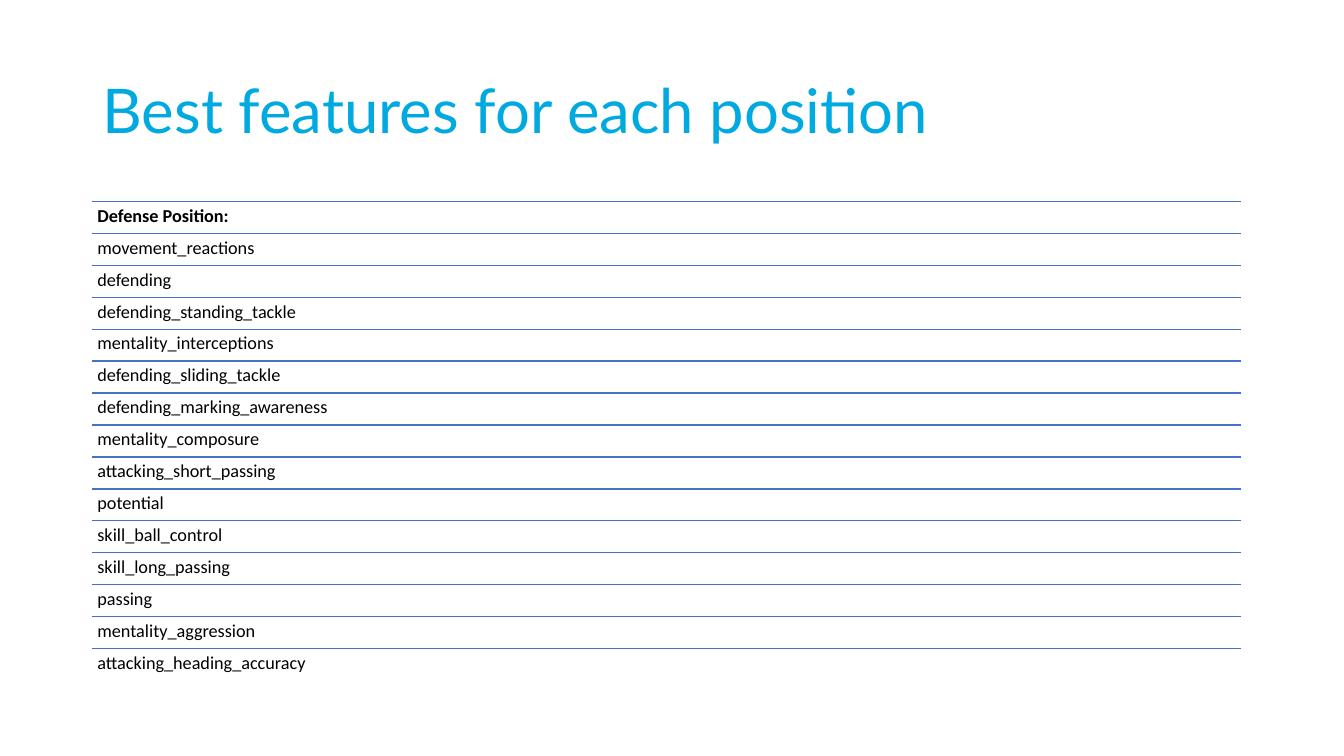
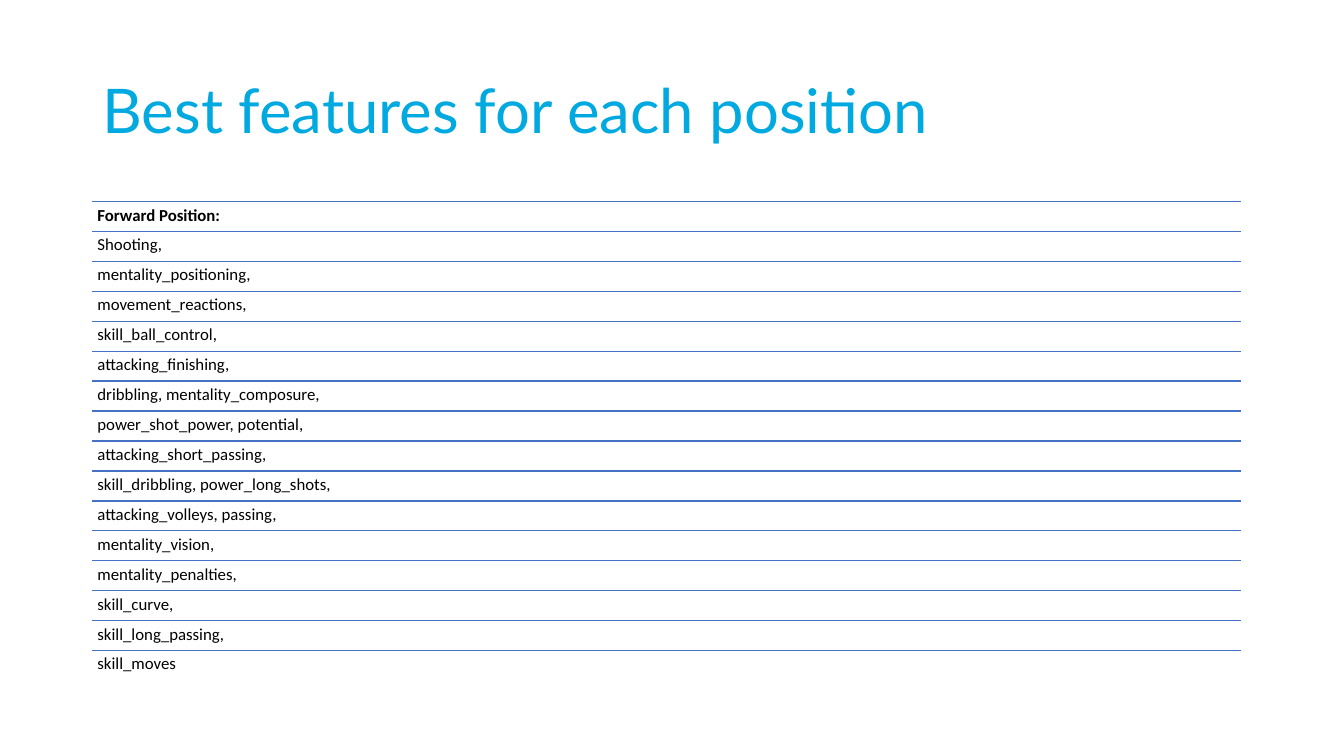
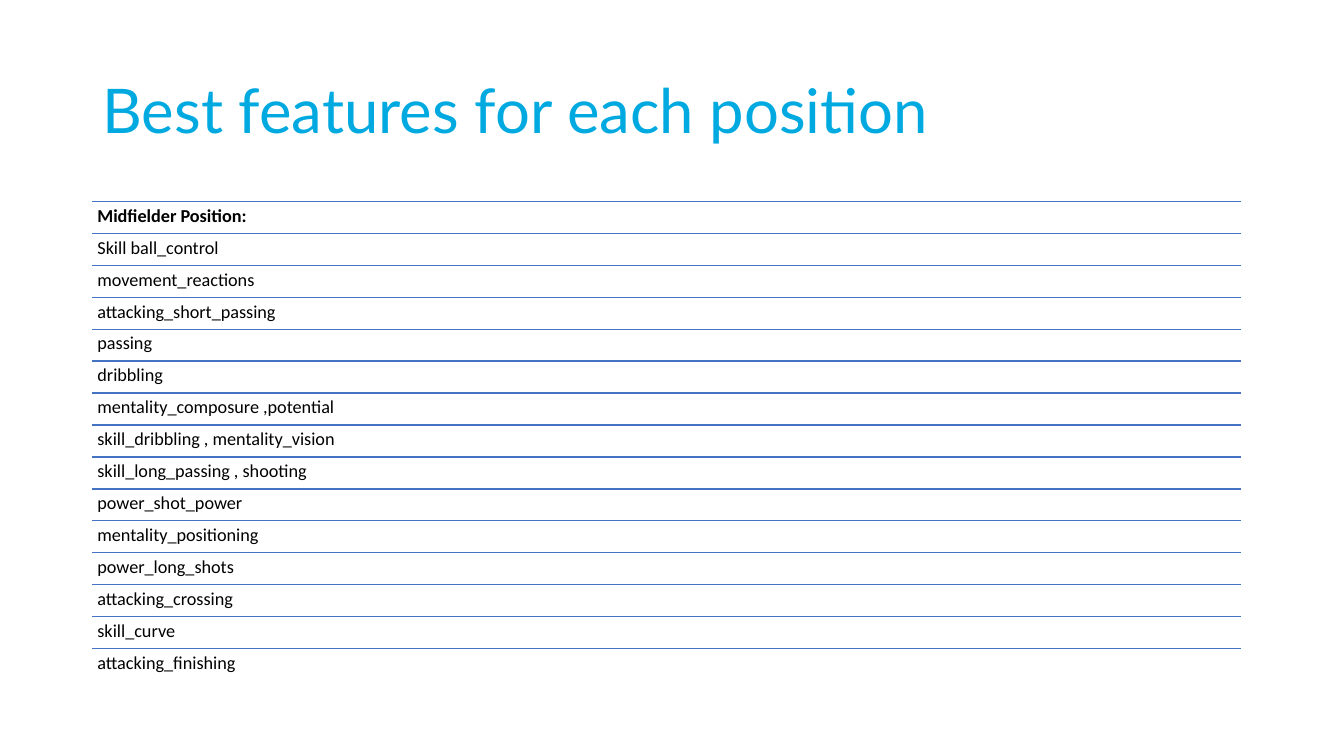
from pptx import Presentation
from pptx.dml.color import RGBColor
from pptx.enum.shapes import MSO_CONNECTOR
from pptx.enum.text import MSO_ANCHOR, MSO_AUTO_SIZE, PP_ALIGN
from pptx.oxml.ns import qn
from pptx.util import Inches, Pt
from lxml import etree

STRAIGHT = MSO_CONNECTOR.STRAIGHT
MIDDLE, TOP = MSO_ANCHOR.MIDDLE, MSO_ANCHOR.TOP
LEFT = PP_ALIGN.LEFT
NO_FIT = MSO_AUTO_SIZE.NONE

CYAN = RGBColor(0x00, 0xA9, 0xE0)
BLUE = RGBColor(0x44, 0x72, 0xC4)
BLACK = RGBColor(0x00, 0x00, 0x00)
TITLE_FONT, BODY_FONT = "Lato", "Calibri"

# Grid of 160 columns by 90 rows over the slide
COLS, ROWS = 160, 90
MARGIN = 11
TITLE_BOX = (MARGIN, 4.8, 138, 17.4)
LIST_TOP, LIST_WIDTH, LIST_HEIGHT = 24, 136.7, 57

TITLE = "Best features for each position"
POSITIONS = [
    ("Defense Position:", 13, [
        "movement_reactions", "defending", "defending_standing_tackle",
        "mentality_interceptions", "defending_sliding_tackle",
        "defending_marking_awareness", "mentality_composure",
        "attacking_short_passing", "potential", "skill_ball_control",
        "skill_long_passing", "passing", "mentality_aggression",
        "attacking_heading_accuracy"]),
    ("Forward Position:", 12, [
        "Shooting,", "mentality_positioning,", "movement_reactions,",
        "skill_ball_control,", "attacking_finishing,",
        "dribbling, mentality_composure,", "power_shot_power, potential,",
        "attacking_short_passing,", "skill_dribbling, power_long_shots,",
        "attacking_volleys, passing,", "mentality_vision,",
        "mentality_penalties,", "skill_curve,", "skill_long_passing,",
        "skill_moves"]),
    ("Midfielder Position:", 13, [
        "Skill ball_control", "movement_reactions", "attacking_short_passing",
        "passing", "dribbling", "mentality_composure ,potential",
        "skill_dribbling , mentality_vision", "skill_long_passing , shooting",
        "power_shot_power", "mentality_positioning", "power_long_shots",
        "attacking_crossing", "skill_curve", "attacking_finishing"]),
]


def write(tf, text, *, size, font, color, bold=False, anchor=TOP, inset=None):
    tf.word_wrap = True
    tf.auto_size = NO_FIT
    tf.vertical_anchor = anchor
    if inset is not None:
        tf.margin_left = tf.margin_right = inset
        tf.margin_top = tf.margin_bottom = inset
    p = tf.paragraphs[0]
    p.alignment = LEFT
    p.line_spacing = 0.9
    r = p.add_run()
    r.text = text
    r.font.size = Pt(size)
    r.font.name = font
    r.font.bold = bold
    r.font.color.rgb = color


class Deck:
    def __init__(self):
        self.prs = Presentation()
        self.prs.slide_width = Inches(13.33)
        self.prs.slide_height = Inches(7.5)
        self.s = None

    def x(self, cols):
        return round(self.prs.slide_width * cols / COLS)

    def y(self, rows):
        return round(self.prs.slide_height * rows / ROWS)

    def box(self, left, top, width, height):
        return self.x(left), self.y(top), self.x(width), self.y(height)

    def slide(self, title):
        self.s = self.prs.slides.add_slide(self.prs.slide_layouts[5])
        sp = self.s.shapes.title
        sp.left, sp.top, sp.width, sp.height = self.box(*TITLE_BOX)
        write(sp.text_frame, title, size=44, font=TITLE_FONT, color=CYAN,
              anchor=MIDDLE)

    def rule(self, shapes, top):
        line = shapes.add_connector(STRAIGHT, self.x(MARGIN), self.y(top),
                                    self.x(MARGIN + LIST_WIDTH), self.y(top))
        line.line.color.rgb = BLUE
        line.line.width = Pt(1)
        etree.SubElement(line._element.spPr, qn("a:effectLst"))

    def ruled_list(self, heading, items, size):
        """Spread the heading and items evenly, each under a rule."""
        shapes = self.s.shapes.add_group_shape().shapes
        lines = [heading, *items]
        step = LIST_HEIGHT / len(lines)
        for i, text in enumerate(lines):
            top = LIST_TOP + i * step
            self.rule(shapes, top)
            sp = shapes.add_textbox(*self.box(MARGIN, top, LIST_WIDTH, step))
            write(sp.text_frame, text, size=size, font=BODY_FONT, color=BLACK,
                  bold=i == 0, inset=Inches(0.05))


def main():
    deck = Deck()
    for heading, size, features in POSITIONS:
        deck.slide(TITLE)
        deck.ruled_list(heading, features, size)
    deck.prs.save("out.pptx")


if __name__ == "__main__":
    main()
